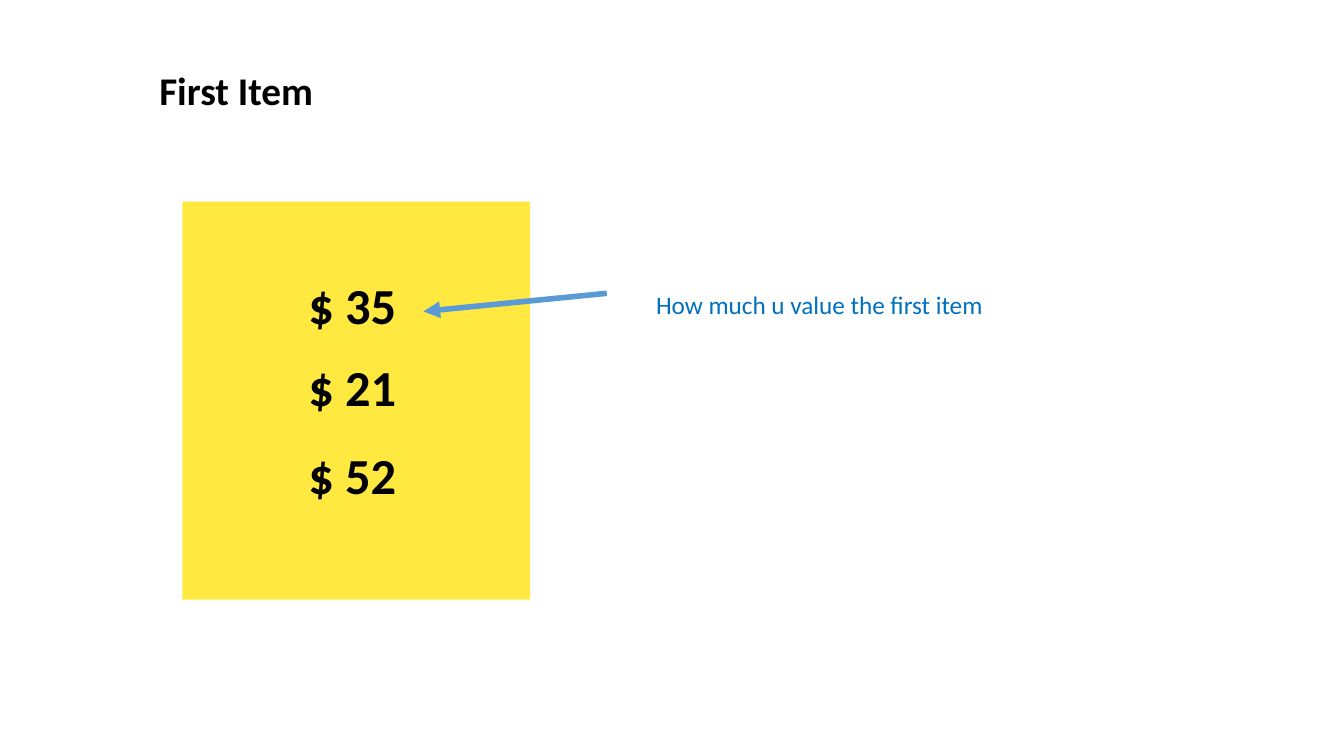
from dataclasses import dataclass

from lxml.etree import SubElement as Sub
from pptx import Presentation as Deck
from pptx.dml.color import RGBColor as Rgb
from pptx.enum.shapes import MSO_CONNECTOR as Link, MSO_SHAPE as Form
from pptx.enum.text import MSO_ANCHOR as Anchor, MSO_AUTO_SIZE as Fit, PP_ALIGN as Align
from pptx.oxml.ns import qn
from pptx.util import Inches, Pt


@dataclass(frozen=True)
class Theme:
    font: str = "Calibri"
    ink: str = "000000"
    card: str = "FFE941"
    note: str = "0070C0"
    arrow: str = "5B9BD5"
    head: int = 28
    price: int = 36
    body: int = 18
    line: int = 4


LOOK = Theme()
COLS, ROWS = 133.33, 75
CELL = Inches(0.1)


def grid(*cells):
    return [round(cell * CELL) for cell in cells]


def write(shape, text, size, color, bold=False):
    frame = shape.text_frame
    frame.text = text
    frame.word_wrap = True
    frame.auto_size = Fit.SHAPE_TO_FIT_TEXT
    frame.vertical_anchor = Anchor.TOP
    para = frame.paragraphs[0]
    para.alignment = Align.LEFT
    font = para.font
    font.name, font.size, font.bold = LOOK.font, Pt(size), bold
    font.color.rgb = Rgb.from_string(color)


def title(slide, text, area):
    shape = slide.shapes.title
    shape.left, shape.top, shape.width, shape.height = grid(*area)
    write(shape, text, LOOK.head, LOOK.ink, True)


def label(slide, text, area, size, color, bold=False):
    write(slide.shapes.add_textbox(*grid(*area)), text, size, color, bold)


def card(slide, area):
    shape = slide.shapes.add_shape(Form.RECTANGLE, *grid(*area))
    shape.shadow.inherit = False
    shape.fill.solid()
    shape.fill.fore_color.rgb = Rgb.from_string(LOOK.card)
    shape.line.fill.background()


def arrow(slide, start, end):
    link = slide.shapes.add_connector(Link.STRAIGHT, *grid(*start, *end))
    link.line.color.rgb = Rgb.from_string(LOOK.arrow)
    link.line.width = Pt(LOOK.line)
    props = link.element.spPr
    Sub(props.find(qn("a:ln")), qn("a:tailEnd"), type="triangle")
    Sub(props, qn("a:effectLst"))


def main():
    deck = Deck()
    deck.slide_width, deck.slide_height = grid(COLS, ROWS)
    slide = deck.slides.add_slide(deck.slide_layouts[5])
    title(slide, "First Item", (14.8, 6.1, 100.2, 5.7))
    card(slide, (18.1, 20, 34.5, 39.5))
    for text, row in (("$ 35", 26.7), ("$ 21", 34.8), ("$ 52", 43.6)):
        label(slide, text, (29.6, row, 16.5, 7.1), LOOK.price, LOOK.ink, True)
    arrow(slide, (60.2, 29.1), (42, 30.9))
    label(slide, "How much u value the first item", (64.1, 28.2, 42.4, 4),
          LOOK.body, LOOK.note)
    deck.save("out.pptx")


if __name__ == "__main__":
    main()
